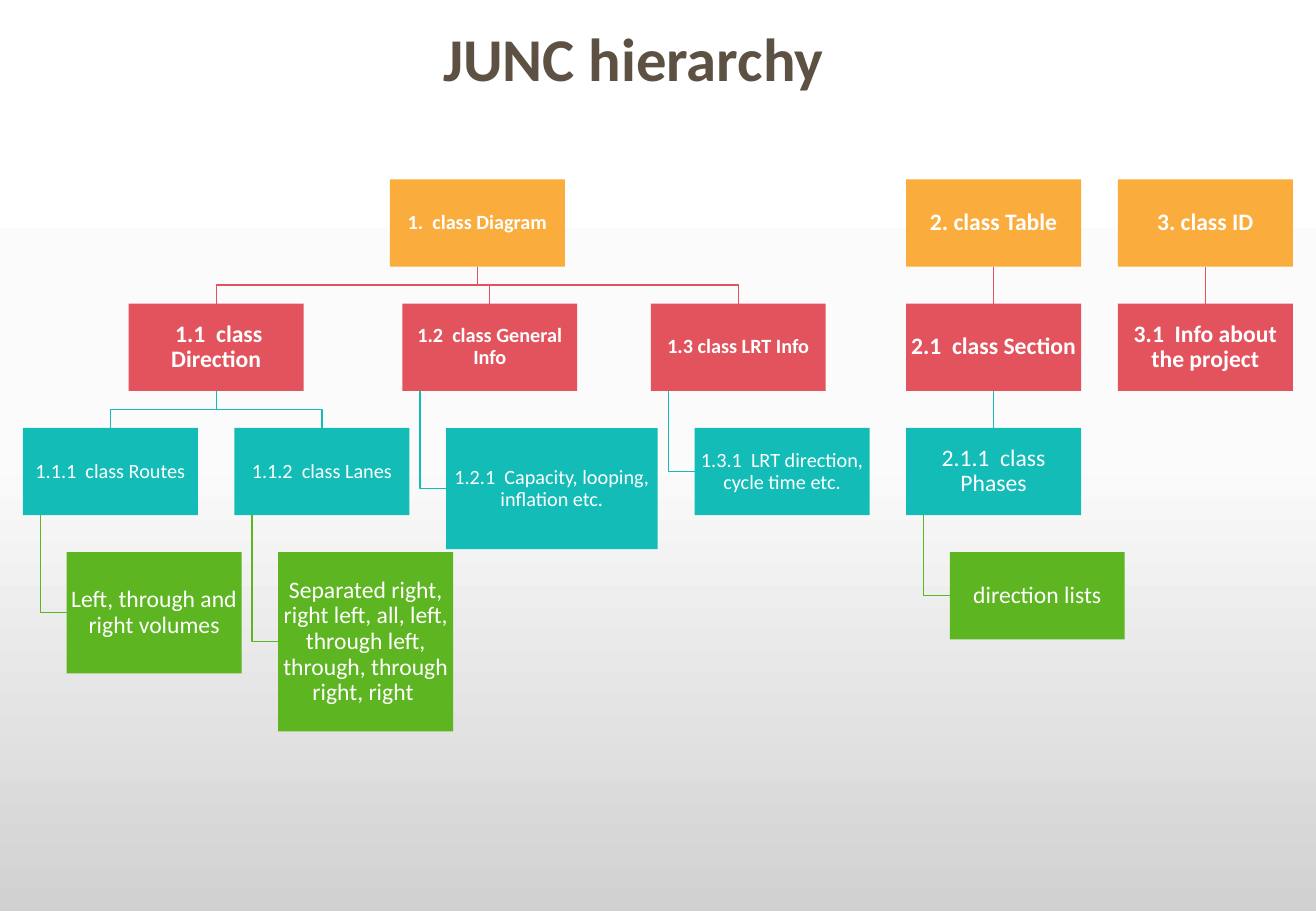
import copy
import lxml.etree
import pptx
import pptx.dml.color
import pptx.enum.shapes
import pptx.enum.text
import pptx.oxml.ns
import pptx.util

Pt = pptx.util.Pt
RGB = pptx.dml.color.RGBColor.from_string
qn = pptx.oxml.ns.qn

THEME = {
    "font": "Calibri",
    "title": RGB("5D5144"),
    "text": RGB("FFFFFF"),
    "levels": [RGB("FAAC3D"), RGB("E3535D"), RGB("13BCB7"), RGB("5DB521")],
    "backdrop": [(0, RGB("FFFFFF")), (0.5, RGB("FBFBFB")), (1, RGB("D1D1D1"))],
    "title_size": Pt(36),
    "large": Pt(14),
    "small": Pt(12),
    "line": Pt(0.75),
}

WIDTH, HEIGHT, TALL = 103.7, 51.7, 71.8
TOP, PITCH = 106.4, 73.65
INDENT, STEM = WIDTH / 4, WIDTH / 10

CLASSES = [
    ("1", None, 231.1, WIDTH, HEIGHT, "small", "1.  class Diagram"),
    ("1.1", "1", 76.3, WIDTH, HEIGHT, "large", " 1.1  class Direction"),
    ("1.1.1", "1.1", 13.6, WIDTH, HEIGHT, "small", "1.1.1  class Routes"),
    ("volumes", "1.1.1", None, WIDTH, TALL, "large", "Left, through and right volumes"),
    ("1.1.2", "1.1", 139, WIDTH, HEIGHT, "small", "1.1.2  class Lanes"),
    ("lanes", "1.1.2", None, WIDTH, 106.2, "large",
     "Separated right, right left, all, left, through left, through, through right, right "),
    ("1.2", "1", 238.5, WIDTH, HEIGHT, "small", "1.2  class General Info"),
    ("1.2.1", "1.2", None, 125.4, TALL, "small", "1.2.1  Capacity, looping, inflation etc."),
    ("1.3", "1", 385.8, WIDTH, HEIGHT, "small", "1.3 class LRT Info"),
    ("1.3.1", "1.3", None, WIDTH, HEIGHT, "small", "1.3.1  LRT direction, cycle time etc."),
    ("2", None, 537.1, WIDTH, HEIGHT, "large", "2. class Table"),
    ("2.1", "2", 537.1, WIDTH, HEIGHT, "large", "2.1  class Section"),
    ("2.1.1", "2.1", 537.1, WIDTH, HEIGHT, "large", "2.1.1  class Phases"),
    ("directions", "2.1.1", None, WIDTH, HEIGHT, "large", "direction lists"),
    ("3", None, 662.6, WIDTH, HEIGHT, "large", "3. class ID"),
    ("3.1", "3", 662.6, WIDTH, HEIGHT, "large", "3.1  Info about the project"),
]


def write(paragraph, text, size, color, bold):
    run = paragraph.add_run()
    run.text = text
    run.font.name = THEME["font"]
    run.font.size = size
    run.font.color.rgb = color
    run.font.bold = bold


deck = pptx.Presentation()
deck.slide_width, deck.slide_height = Pt(780), Pt(540)
slide = deck.slides.add_slide(deck.slide_layouts[5])

backdrop = slide.background.fill
backdrop.gradient()
backdrop.gradient_angle = 270
stops = next(slide.element.iter(qn("a:gsLst")))
stops.append(copy.deepcopy(stops[-1]))
for stop, (position, color) in zip(backdrop.gradient_stops, THEME["backdrop"]):
    stop.position = position
    stop.color.rgb = color

title = slide.shapes.title
title.left, title.top, title.width, title.height = Pt(255.5), Pt(8.8), Pt(269), Pt(51)
heading = title.text_frame
heading.word_wrap = False
heading.auto_size = pptx.enum.text.MSO_AUTO_SIZE.SHAPE_TO_FIT_TEXT
heading.vertical_anchor = pptx.enum.text.MSO_ANCHOR.TOP
heading.paragraphs[0].alignment = pptx.enum.text.PP_ALIGN.LEFT
write(heading.paragraphs[0], "JUNC hierarchy", THEME["title_size"], THEME["title"], True)

boxes, levels = {}, {}
for key, parent, left, width, height, size, text in CLASSES:
    level = levels[key] = levels[parent] + 1 if parent else 0
    color = THEME["levels"][level]
    hangs = left is None
    x = boxes[parent].left + Pt(INDENT) if hangs else Pt(left)
    box = boxes[key] = slide.shapes.add_shape(
        pptx.enum.shapes.MSO_SHAPE.RECTANGLE, x, Pt(TOP + PITCH * level), Pt(width), Pt(height))
    box.shadow.inherit = False
    box.fill.solid()
    box.fill.fore_color.rgb = color
    box.line.fill.background()
    label = box.text_frame
    label.word_wrap = True
    label.vertical_anchor = pptx.enum.text.MSO_ANCHOR.MIDDLE
    label.margin_left = label.margin_right = label.margin_top = label.margin_bottom = Pt(0.7)
    label.paragraphs[0].alignment = pptx.enum.text.PP_ALIGN.CENTER
    label.paragraphs[0].line_spacing = 0.9
    write(label.paragraphs[0], text, THEME[size], THEME["text"], level < 2)

    if parent is None:
        continue
    owner = boxes[parent]
    bottom = owner.top + owner.height
    if box.left == owner.left:
        link = slide.shapes.add_connector(
            pptx.enum.shapes.MSO_CONNECTOR.STRAIGHT, box.left, bottom, box.left, box.top)
        link.begin_connect(owner, 2)
        link.end_connect(box, 0)
    else:
        if hangs:
            stem, middle = owner.left + Pt(STEM), box.top + box.height // 2
            bends = [(stem, middle), (box.left, middle)]
        else:
            stem, center = owner.left + owner.width // 2, box.left + box.width // 2
            middle = (bottom + box.top) // 2
            bends = [(stem, middle), (center, middle), (center, box.top)]
        outline = slide.shapes.build_freeform(stem, bottom)
        outline.add_line_segments(bends, close=False)
        link = outline.convert_to_shape()
        link.fill.background()
    link.line.color.rgb = color
    link.line.width = THEME["line"]
    lxml.etree.SubElement(link.element.spPr, qn("a:effectLst"))

deck.save("out.pptx")
